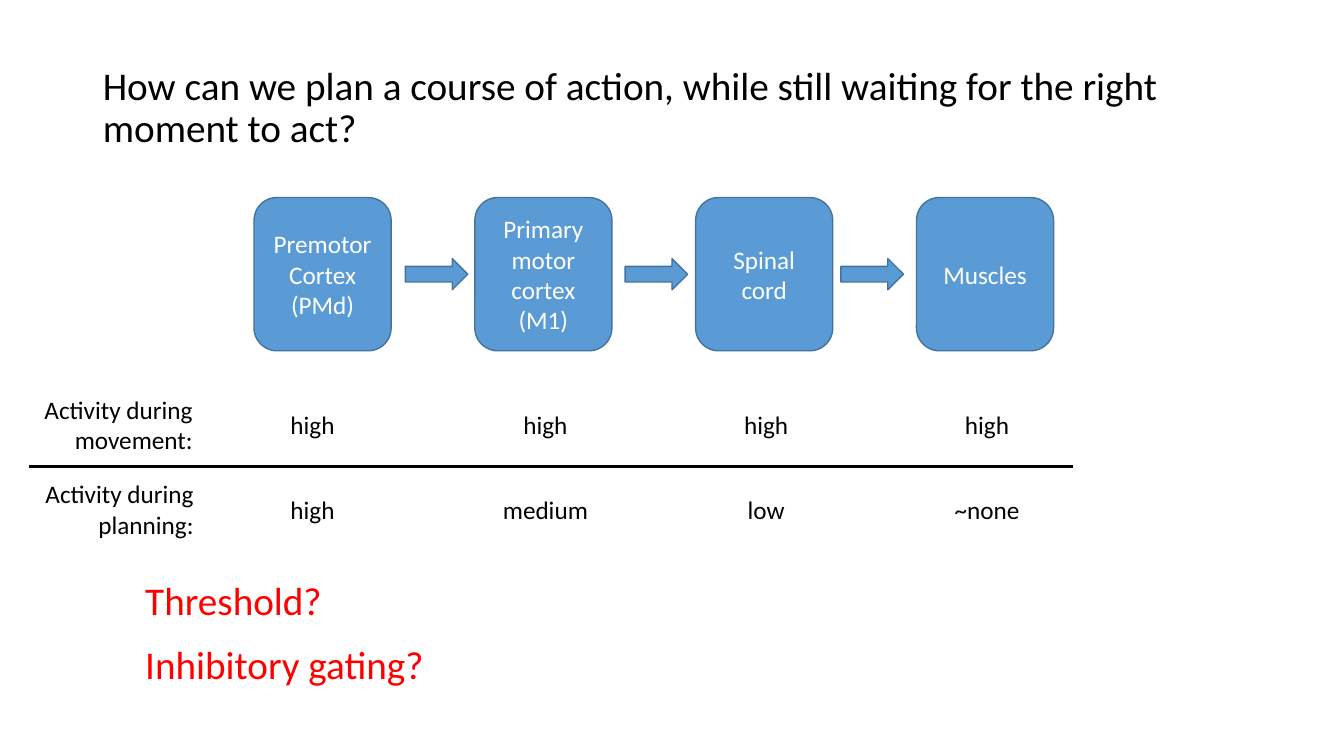
from dataclasses import dataclass

from lxml import etree
from pptx import Presentation, util as u
from pptx.dml.color import RGBColor
from pptx.enum import shapes, text
from pptx.oxml.ns import qn

BLUE = RGBColor(0x5B, 0x9B, 0xD5)
OUTLINE = RGBColor(0x43, 0x73, 0x9E)
BLACK = RGBColor(0, 0, 0)
WHITE = RGBColor(255, 255, 255)
RED = RGBColor(255, 0, 0)
FONT = "Calibri"

STAGE_LEFT, STAGE_PITCH = 2.52, 2.19
STAGE_TOP, STAGE_WIDTH, STAGE_HEIGHT = 1.96, 1.36, 1.52
ARROW_WIDTH, ARROW_HEIGHT = 0.62, 0.31
LABEL_WIDTH, LABEL_HEIGHT, VALUE_HEIGHT = 1.76, 0.71, 0.4


@dataclass(frozen=True)
class Stage:
    lines: tuple[str, ...]
    movement: str
    planning: str
    value_shift: float = 0.02  # offset of the values from the column centre
    arrow_left: float | None = None  # arrow leading to the next stage


@dataclass(frozen=True)
class ActivityRow:
    lines: tuple[str, ...]
    field: str
    left: float
    top: float


STAGES = (
    Stage(("Premotor", "Cortex", "(PMd)"), "high", "high", -0.1, 4.02),
    Stage(("Primary motor cortex", "(M1)"), "high", "medium", arrow_left=6.2),
    Stage(("Spinal cord",), "high", "low", arrow_left=8.34),
    Stage(("Muscles",), "high", "~none"),
)
ROWS = (
    ActivityRow(("Activity during", "movement:"), "movement", 0.25, 3.86),
    ActivityRow(("Activity during", "planning:"), "planning", 0.26, 4.7),
)


def place(shape, left: float, top: float, width: float, height: float) -> None:
    shape.left, shape.top = u.Inches(left), u.Inches(top)
    shape.width, shape.height = u.Inches(width), u.Inches(height)


def write(shape, *lines: str, size: float = 18, color: RGBColor = BLACK,
          align=text.PP_ALIGN.LEFT, anchor=text.MSO_ANCHOR.TOP,
          line_spacing: float = 1.0, space_after: float = 0) -> None:
    """Fill a shape with one unbulleted paragraph per line."""
    frame = shape.text_frame
    frame.word_wrap = True
    frame.auto_size = text.MSO_AUTO_SIZE.NONE
    frame.vertical_anchor = anchor
    for index, line in enumerate(lines):
        paragraph = frame.add_paragraph() if index else frame.paragraphs[0]
        paragraph.alignment = align
        paragraph.line_spacing = line_spacing
        paragraph.space_before = u.Pt(0)
        paragraph.space_after = u.Pt(space_after)
        properties = paragraph._p.get_or_add_pPr()
        properties.set("marL", "0")
        properties.set("indent", "0")
        etree.SubElement(properties, qn("a:buNone"))
        run = paragraph.add_run()
        run.text = line
        run.font.name, run.font.size = FONT, u.Pt(size)
        run.font.color.rgb = color


def add_block(slide, kind, left: float, top: float, width: float, height: float):
    shape = slide.shapes.add_shape(kind, 0, 0, 0, 0)
    place(shape, left, top, width, height)
    shape.shadow.inherit = False
    shape.fill.solid()
    shape.fill.fore_color.rgb = BLUE
    shape.line.color.rgb = OUTLINE
    shape.line.width = u.Pt(1)
    return shape


def add_label(slide, left: float, top: float, width: float, height: float,
              *lines: str, **formatting) -> None:
    box = slide.shapes.add_textbox(0, 0, 0, 0)
    place(box, left, top, width, height)
    write(box, *lines, **formatting)


def add_stage(slide, column: int, stage: Stage) -> None:
    left = STAGE_LEFT + column * STAGE_PITCH
    box = add_block(slide, shapes.MSO_SHAPE.ROUNDED_RECTANGLE,
                    left, STAGE_TOP, STAGE_WIDTH, STAGE_HEIGHT)
    write(box, *stage.lines, color=WHITE, align=text.PP_ALIGN.CENTER,
          anchor=text.MSO_ANCHOR.MIDDLE)
    if stage.arrow_left is not None:
        arrow_top = STAGE_TOP + (STAGE_HEIGHT - ARROW_HEIGHT) / 2
        add_block(slide, shapes.MSO_SHAPE.RIGHT_ARROW,
                  stage.arrow_left, arrow_top, ARROW_WIDTH, ARROW_HEIGHT)
    for row in ROWS:
        value_top = row.top + (LABEL_HEIGHT - VALUE_HEIGHT) / 2
        add_label(slide, left + stage.value_shift, value_top, STAGE_WIDTH,
                  VALUE_HEIGHT, getattr(stage, row.field),
                  align=text.PP_ALIGN.CENTER)


def add_divider(slide, left: float, right: float, top: float) -> None:
    line = slide.shapes.add_connector(
        shapes.MSO_CONNECTOR.STRAIGHT,
        u.Inches(left), u.Inches(top), u.Inches(right), u.Inches(top))
    line.line.color.rgb = BLACK
    line.line.width = u.Pt(2.25)
    etree.SubElement(line._element.spPr, qn("a:effectLst"))


def main() -> None:
    presentation = Presentation()
    presentation.slide_width = u.Inches(13.33)
    presentation.slide_height = u.Inches(7.5)
    slide = presentation.slides.add_slide(presentation.slide_layouts[1])

    title, ideas = slide.placeholders
    place(title, 0.92, 0.61, 11.5, 1.04)
    write(title, "How can we plan a course of action, while still waiting "
          "for the right moment to act?", size=28, line_spacing=0.9)
    place(ideas, 1.34, 5.67, 3.11, 1.21)
    write(ideas, "Threshold?", "Inhibitory gating?",
          size=28, color=RED, space_after=12)

    for column, stage in enumerate(STAGES):
        add_stage(slide, column, stage)
    for row in ROWS:
        add_label(slide, row.left, row.top, LABEL_WIDTH, LABEL_HEIGHT,
                  *row.lines, align=text.PP_ALIGN.RIGHT)
    add_divider(slide, 0.29, 10.64, 4.63)

    presentation.save("out.pptx")


if __name__ == "__main__":
    main()
